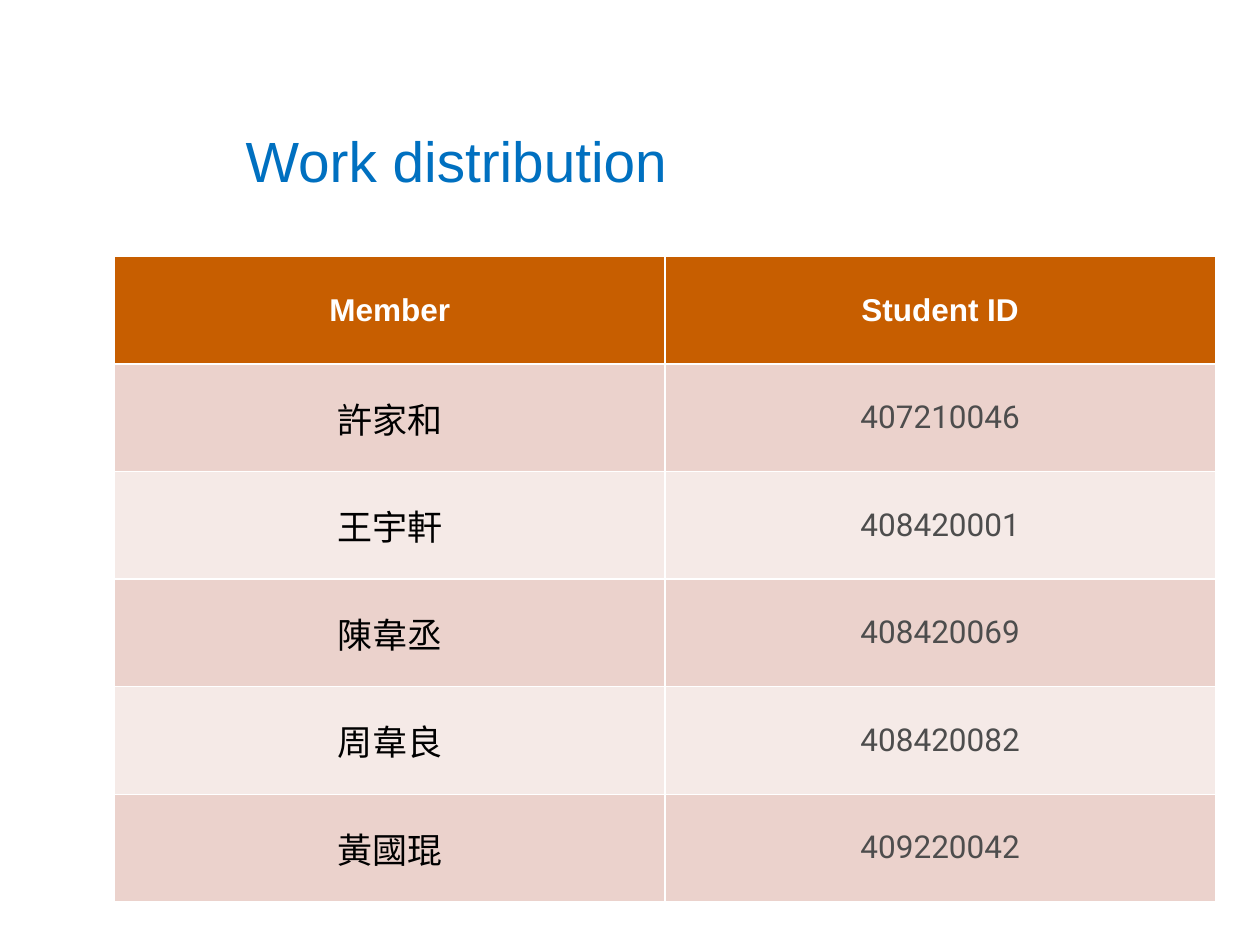
from lxml import etree
from pptx import Presentation
from pptx.dml.color import RGBColor
from pptx.enum import text
from pptx.oxml.ns import qn
from pptx.util import Pt

BLUE = RGBColor(0x00, 0x70, 0xC0)
ORANGE = RGBColor(0xC7, 0x5E, 0x00)
ROSE = RGBColor(0xEB, 0xD2, 0xCC)
PALE_ROSE = RGBColor(0xF5, 0xEA, 0xE7)
WHITE = RGBColor(0xFF, 0xFF, 0xFF)
BLACK = RGBColor(0x00, 0x00, 0x00)
GRAY = RGBColor(0x4D, 0x4D, 0x4D)

MEMBERS = [
    ("許家和", "407210046"),
    ("王宇軒", "408420001"),
    ("陳韋丞", "408420069"),
    ("周韋良", "408420082"),
    ("黃國琨", "409220042"),
]


def style_paragraph(paragraph, name, size, color, bold=False):
    font = paragraph.font
    font.name, font.size, font.bold = name, Pt(size), bold
    font.color.rgb = color
    # Chinese characters take the East Asian font
    properties = paragraph._p.pPr.find(qn("a:defRPr"))
    etree.SubElement(properties, qn("a:ea")).set("typeface", name)


def fill_cell(cell, content, fill, *font):
    cell.text = content
    cell.fill.solid()
    cell.fill.fore_color.rgb = fill
    cell.vertical_anchor = text.MSO_ANCHOR.MIDDLE
    paragraph = cell.text_frame.paragraphs[0]
    paragraph.alignment = text.PP_ALIGN.CENTER
    style_paragraph(paragraph, *font)


presentation = Presentation()
presentation.slide_width, presentation.slide_height = Pt(720), Pt(540)
slide = presentation.slides.add_slide(presentation.slide_layouts[5])

# Title
title = slide.shapes.title
title.left, title.top, title.width, title.height = Pt(133.2), Pt(71.3), Pt(561.6), Pt(40.3)
title.text_frame.text = "Work distribution"
title.text_frame.vertical_anchor = text.MSO_ANCHOR.MIDDLE
heading = title.text_frame.paragraphs[0]
heading.alignment = text.PP_ALIGN.LEFT
style_paragraph(heading, "Arial", 32.4, BLUE)

# Member table; its default style draws the white borders
table = slide.shapes.add_table(
    len(MEMBERS) + 1, 2, Pt(65.5), Pt(146.5), Pt(629), Pt(369)
).table

# Header row
for cell, label in zip(table.rows[0].cells, ("Member", "Student ID")):
    fill_cell(cell, label, ORANGE, "Arial", 18, WHITE, True)

# Member rows in alternating bands
for row, (member, student_id) in enumerate(MEMBERS, start=1):
    band = ROSE if row % 2 else PALE_ROSE
    fill_cell(table.cell(row, 0), member, band, "Noto Sans CJK SC", 20, BLACK)
    fill_cell(table.cell(row, 1), student_id, band, "Roboto", 18, GRAY)

presentation.save("out.pptx")
